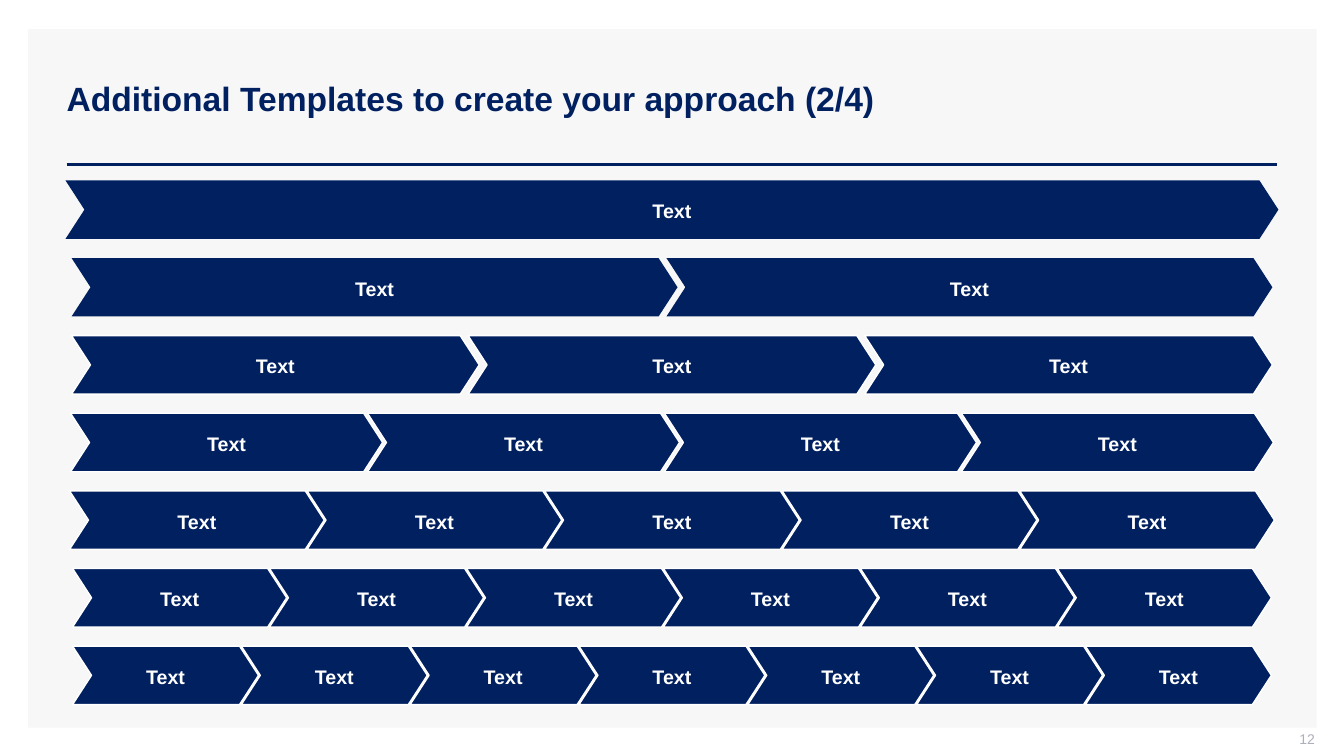
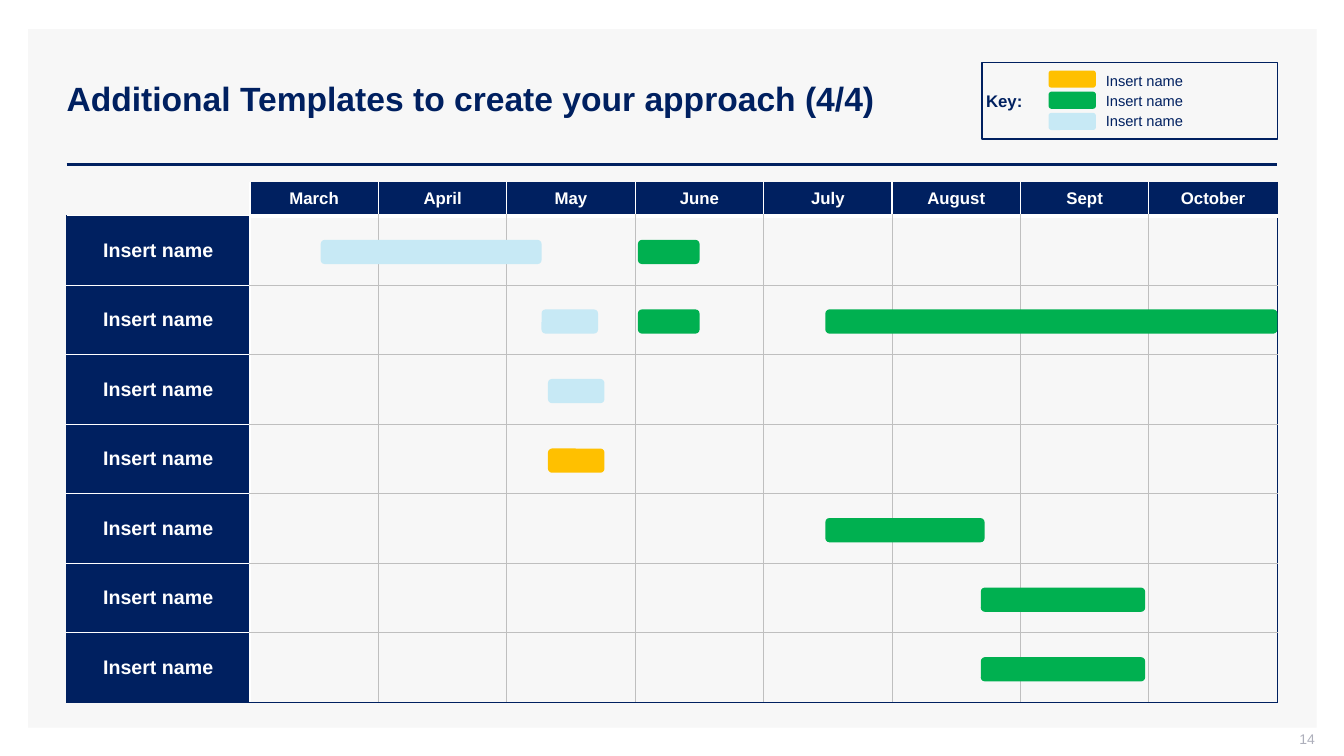
from lxml import etree
from pptx import Presentation
from pptx.dml.color import RGBColor
from pptx.enum.shapes import MSO_CONNECTOR as CONN, MSO_SHAPE as SHAPE
from pptx.enum.text import MSO_ANCHOR as ANCHOR, MSO_AUTO_SIZE as AUTO, PP_ALIGN as ALIGN
from pptx.oxml.ns import qn
from pptx.util import Inches, Pt

NAVY, WHITE, PANEL, GRID, MUTED = "002060", "FFFFFF", "F7F7F7", "BFBFBF", "ADAFBB"
AMBER, GREEN, SKY = "FFC000", "00B050", "C7E9F5"
WIDTH, HEIGHT = 13.33, 7.5
LEFT, RIGHT = 0.66, 12.67
rgb = RGBColor.from_string


def draw(s, kind, x, y, w, h, fill=None, line=None):
    """Add a flat preset shape; fill and line are hex colours or None."""
    sp = s.shapes.add_shape(kind, Inches(x), Inches(y), Inches(w), Inches(h))
    sp.shadow.inherit = False
    if fill:
        sp.fill.solid()
        sp.fill.fore_color.rgb = rgb(fill)
    else:
        sp.fill.background()
    if line:
        sp.line.color.rgb = rgb(line)
        sp.line.width = Pt(1)
    else:
        sp.line.fill.background()
    return sp


def write(tf, text, size, color, bold=False, align=ALIGN.LEFT, spacing=1.0):
    """Fill a text frame with one formatted paragraph."""
    tf.text = text
    tf.word_wrap = True
    tf.vertical_anchor = ANCHOR.MIDDLE
    p = tf.paragraphs[0]
    p.alignment = align
    p.line_spacing = spacing
    font = p.runs[0].font
    font.name, font.size, font.bold = "Arial", Pt(size), bold
    font.color.rgb = rgb(color)


prs = Presentation()
prs.slide_width, prs.slide_height = Inches(WIDTH), Inches(HEIGHT)
layout = prs.slide_layouts[5]

# Titles and page numbers
for part, page in (("2/4", "12"), ("4/4", "14")):
    s = prs.slides.add_slide(layout)
    title = s.shapes.title
    title.left, title.top = Inches(0.56), Inches(0.4)
    title.width, title.height = Inches(12.11), Inches(1.19)
    write(title.text_frame, f"Additional Templates to create your approach ({part})",
          24, NAVY, bold=True, spacing=0.9)
    title.text_frame.auto_size = AUTO.NONE
    tf = s.shapes.add_textbox(Inches(10.04), Inches(7.25), Inches(3), Inches(0.21)).text_frame
    tf.margin_top = tf.margin_right = 0
    write(tf, page, 10, MUTED, align=ALIGN.RIGHT)
chevron_slide, gantt_slide = prs.slides

# Panel and title rule, moved to the layout so that both slides share them
panel = draw(chevron_slide, SHAPE.RECTANGLE, 0.28, 0.29, 12.78, 6.93, PANEL)
rule = chevron_slide.shapes.add_connector(
    CONN.STRAIGHT, Inches(LEFT), Inches(1.63), Inches(RIGHT), Inches(1.63))
rule.line.color.rgb = rgb(NAVY)
rule.line.width = Pt(2)
etree.SubElement(rule._element.spPr, qn("a:effectLst"))
for i, sp in enumerate((panel, rule)):
    sp._element.xpath(".//p:cNvPr")[0].set("id", str(100 + i))
    layout.shapes._spTree.insert(2 + i, sp._element)

# Chevron rows: row n holds n chevrons, centred on the slide
CHEVRON_TOP, CHEVRON_PITCH, CHEVRON_H = 1.79, 0.77, 0.58
chevron_rows = [(0.65, 0), (0.71, 0.11), (0.71, 0.11), (0.7, 0.15),
                (0.69, 0.17), (0.72, 0.17), (0.72, 0.17)]
for row, (left, overlap) in enumerate(chevron_rows):
    count = row + 1
    w = (WIDTH - 2 * left + row * overlap) / count
    for i in range(count):
        sp = draw(chevron_slide, SHAPE.CHEVRON, left + i * (w - overlap),
                  CHEVRON_TOP + row * CHEVRON_PITCH, w, CHEVRON_H,
                  NAVY, WHITE if row > 1 else None)
        sp.adjustments[0] = 0.324
        write(sp.text_frame, "Text", 14, WHITE, bold=True, align=ALIGN.CENTER, spacing=1.1)

# Key
s = gantt_slide
key = draw(s, SHAPE.RECTANGLE, 9.74, 0.62, 2.93, 0.76, line=NAVY)
key.text_frame.margin_left = Inches(0.04)
write(key.text_frame, "Key:", 12, NAVY, bold=True)
for i, color in enumerate((AMBER, GREEN, SKY)):
    draw(s, SHAPE.ROUNDED_RECTANGLE, 10.4, 0.7 + i * 0.21, 0.47, 0.17, color)
    box = s.shapes.add_textbox(Inches(10.87), Inches(0.66 + i * 0.2), Inches(1.42), Inches(0.28))
    write(box.text_frame, "Insert name", 10.5, NAVY)

# Month grid
months = ["March", "April", "May", "June", "July", "August", "Sept", "October"]
TASKS, TABLE_TOP, HEAD_H, ROW_H, NAME_W = 7, 1.81, 0.33, 0.69, 1.82
MONTH_W = (RIGHT - LEFT - NAME_W) / len(months)
last_col = len(months)
table = s.shapes.add_table(
    TASKS + 1, last_col + 1, Inches(LEFT), Inches(TABLE_TOP),
    Inches(RIGHT - LEFT), Inches(HEAD_H + TASKS * ROW_H)).table
table.first_row = table.horz_banding = False
for c, col in enumerate(table.columns):
    col.width = Inches(MONTH_W if c else NAME_W)
for r, row in enumerate(table.rows):
    row.height = Inches(ROW_H if r else HEAD_H)
    for c, cell in enumerate(row.cells):
        cell.margin_left = cell.margin_right = Inches(0.07)
        cell.margin_top = cell.margin_bottom = 0
        cell.vertical_anchor = ANCHOR.MIDDLE
        if (r == 0) != (c == 0):
            cell.fill.solid()
            cell.fill.fore_color.rgb = rgb(NAVY)
            write(cell.text_frame, "Insert name" if r else months[c - 1],
                  14 if r else 12, WHITE, bold=True, align=ALIGN.CENTER)
        else:
            cell.fill.background()

        borders = []
        for v in (c, c + 1):
            if v in (0, last_col + 1):
                borders.append((NAVY, 0.75))
            elif v == 1 or r == 0:
                borders.append((WHITE, 1))
            else:
                borders.append((GRID, 0.75))
        for h in (r, r + 1):
            if h in (0, TASKS + 1):
                borders.append((NAVY, 0.75))
            elif c == 0:
                borders.append((WHITE, 1))
            elif h == 1:
                borders.append((WHITE, 3))
            else:
                borders.append((GRID, 0.75))
        tc_pr = cell._tc.get_or_add_tcPr()
        for i, (side, (color, points)) in enumerate(zip("LRTB", borders)):
            ln = etree.Element(qn(f"a:ln{side}"), w=str(Pt(points)))
            if r == c == 0:
                etree.SubElement(ln, qn("a:noFill"))
            else:
                solid = etree.SubElement(ln, qn("a:solidFill"))
                etree.SubElement(solid, qn("a:srgbClr"), val=color)
            tc_pr.insert(i, ln)

# Bars: task row, start and length in months, colour
bars = [(0, 0.55, 1.72, SKY), (0, 3.02, 0.48, GREEN),
        (1, 2.27, 0.44, SKY), (1, 3.02, 0.48, GREEN), (1, 4.48, 3.52, GREEN),
        (2, 2.32, 0.44, SKY), (3, 2.32, 0.44, AMBER), (4, 4.48, 1.24, GREEN),
        (5, 5.69, 1.28, GREEN), (6, 5.69, 1.28, GREEN)]
for task, start, length, color in bars:
    draw(s, SHAPE.ROUNDED_RECTANGLE, LEFT + NAME_W + start * MONTH_W,
         TABLE_TOP + HEAD_H + task * ROW_H + 0.24, length * MONTH_W, 0.24, color)

prs.save("out.pptx")
